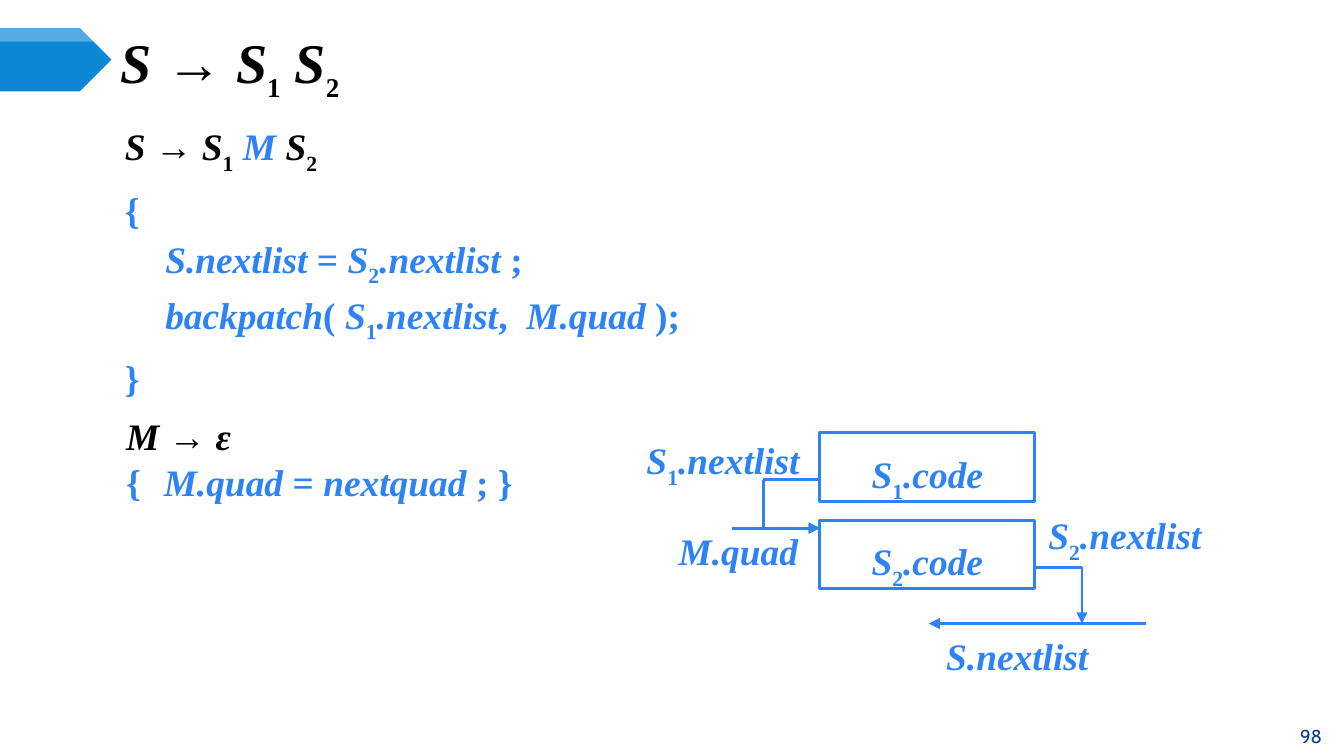
from dataclasses import dataclass
from typing import NamedTuple, Optional

from lxml import etree
from pptx import Presentation
from pptx import util as u
from pptx.dml.color import RGBColor
from pptx.enum import shapes, text
from pptx.oxml.ns import qn

PX = 9144
INK = RGBColor(0, 0, 0)
BLUE = RGBColor(0x2D, 0x83, 0xF4)
NAVY = RGBColor(0x07, 0x3E, 0x87)
PLATE = RGBColor(0x0B, 0x87, 0xD6)
WHITE = RGBColor(255, 255, 255)
SERIF = "Times New Roman"
LEFT, MID, RIGHT, JUST = (
    text.PP_ALIGN.LEFT, text.PP_ALIGN.CENTER,
    text.PP_ALIGN.RIGHT, text.PP_ALIGN.JUSTIFY,
)


class Run(NamedTuple):
    text: str
    ital: bool = True
    base: int = 0
    size: Optional[int] = None
    color: Optional[RGBColor] = None


class Box(NamedTuple):
    left: int
    top: int
    width: int
    height: int


@dataclass
class Para:
    runs: list[Run]
    color: RGBColor = BLUE
    align: text.PP_ALIGN = LEFT
    size: int = 20
    face: str = SERIF
    bold: bool = True
    lead: Optional[int] = None
    hang: int = 0


@dataclass
class Line:
    x1: int
    y1: int
    x2: int
    y2: int
    arrow: bool = False


def it(words: str, color: Optional[RGBColor] = None) -> Run:
    return Run(words, color=color)


def up(words: str) -> Run:
    return Run(words, ital=False)


def sub(words: str, base: int = -30, size: Optional[int] = None) -> Run:
    return Run(words, False, base, size)


def emu(box: Box) -> list[u.Emu]:
    return [u.Emu(n * PX) for n in box]


def write(shape, paras: list[Para], pad: tuple[int, int] = (7, 4),
          anchor=text.MSO_ANCHOR.TOP) -> None:
    frame = shape.text_frame
    frame.word_wrap = True
    frame.vertical_anchor = anchor
    frame.margin_left = frame.margin_right = u.Emu(pad[0] * PX)
    frame.margin_top = frame.margin_bottom = u.Emu(pad[1] * PX)
    for n, para in enumerate(paras):
        p = frame.add_paragraph() if n else frame.paragraphs[0]
        p.alignment = para.align
        if para.lead:
            p.line_spacing = u.Pt(para.lead)
        if para.hang:
            props = p._p.get_or_add_pPr()
            props.set("marL", str(para.hang * PX))
            props.set("indent", str(-para.hang * PX))
        p.font.name = para.face
        p.font.size = u.Pt(para.size)
        p.font.bold = para.bold
        p.font.color.rgb = para.color
        for run in para.runs:
            r = p.add_run()
            r.text = run.text
            r.font.italic = run.ital
            if run.base:
                r.font._element.set("baseline", str(run.base * 1000))
            if run.size:
                r.font.size = u.Pt(run.size)
            if run.color is not None:
                r.font.color.rgb = run.color


def label(slide, box: Box, paras: list[Para], **opts) -> None:
    write(slide.shapes.add_textbox(*emu(box)), paras, **opts)


def block(slide, kind, box: Box, fill: RGBColor, edge: Optional[RGBColor] = None):
    shape = slide.shapes.add_shape(kind, *emu(box))
    shape.shadow.inherit = False
    shape.fill.solid()
    shape.fill.fore_color.rgb = fill
    if edge is None:
        shape.line.fill.background()
    else:
        shape.line.color.rgb = edge
        shape.line.width = u.Pt(1.5)
    return shape


def draw(slide, line: Line) -> None:
    ends = [u.Emu(n * PX) for n in (line.x1, line.y1, line.x2, line.y2)]
    wire = slide.shapes.add_connector(shapes.MSO_CONNECTOR.STRAIGHT, *ends)
    wire.line.color.rgb = BLUE
    wire.line.width = u.Pt(1.5)
    if line.arrow:
        etree.SubElement(wire.line._get_or_add_ln(), qn("a:tailEnd"), type="triangle")
    etree.SubElement(wire._element.spPr, qn("a:effectLst"))


TITLE = [Para([it("S "), up("→ "), it("S"), sub("1", size=25),
               it(" S"), sub("2", size=25)], INK, size=30)]

BODY = [
    Para(runs, color, JUST, lead=30, hang=30)
    for color, runs in [
        (INK, [it("S "), up("→ "), it("S"), sub("1"), it(" M ", BLUE),
               it("S"), sub("2")]),
        (BLUE, [up("{")]),
        (BLUE, [up("\t"), it("S.nextlist"), up(" = "), it("S"), sub("2", -25),
                it(".nextlist "), up("; ")]),
        (BLUE, [up("\t"), it("backpatch"), up("( "), it("S"), sub("1", -25),
                it(".nextlist"), up(",  "), it("M.quad"), up(" );")]),
        (BLUE, [up("} ")]),
    ]
]

RULE = [
    Para(runs, color, JUST, lead=25, hang=28)
    for color, runs in [
        (INK, [it("M "), up("→ "), it("ε")]),
        (BLUE, [up("{\t"), it("M.quad"), up(" = "), it("nextquad "), up("; }")]),
    ]
]

TAGS = [
    (Box(498, 389, 106, 41), LEFT, [it("M.quad")]),
    (Box(697, 467, 151, 41), LEFT, [it("S.nextlist")]),
    (Box(460, 321, 142, 41), RIGHT, [it("S"), sub("1"), it(".nextlist")]),
    (Box(773, 377, 142, 41), LEFT, [it("S"), sub("2"), it(".nextlist")]),
]

LINES = [
    Line(545, 393, 610, 393, True),
    Line(805, 422, 805, 464, True),
    Line(757, 422, 805, 422),
    Line(568, 393, 568, 357),
    Line(568, 357, 627, 357),
    Line(568, 393, 610, 393, True),
    Line(853, 464, 691, 464, True),
]


def main() -> None:
    deck = Presentation()
    deck.slide_width = u.Inches(10)
    deck.slide_height = u.Emu(deck.slide_width * 9 // 16)
    slide = deck.slides.add_slide(deck.slide_layouts[6])

    plate = shapes.MSO_SHAPE.PENTAGON
    block(slide, plate, Box(0, 21, 83, 47), PLATE)
    gloss = block(slide, plate, Box(0, 21, 83, 10), WHITE)
    tint = gloss.fill._xPr.find(qn("a:solidFill"))[0]
    etree.SubElement(tint, qn("a:alpha"), val="30000")

    middle = text.MSO_ANCHOR.MIDDLE
    label(slide, Box(83, 29, 867, 39), TITLE, anchor=middle)
    label(slide, Box(86, 85, 648, 353), BODY)
    label(slide, Box(84, 301, 348, 77), RULE, pad=(10, 5))

    for box, align, runs in TAGS:
        label(slide, box, [Para(runs, align=align)])
    for line in LINES:
        draw(slide, line)
    for n in range(2):
        code = block(slide, shapes.MSO_SHAPE.RECTANGLE,
                     Box(610, 322 + 65 * n, 160, 51), WHITE, BLUE)
        runs = [it("S"), sub(str(n + 1)), it(".code")]
        write(code, [Para(runs, align=MID, lead=35)])

    page = Para([up("98")], NAVY, MID, 10, "Cabin", False)
    label(slide, Box(953, 533, 45, 30), [page], anchor=middle)
    deck.save("out.pptx")


if __name__ == "__main__":
    main()
